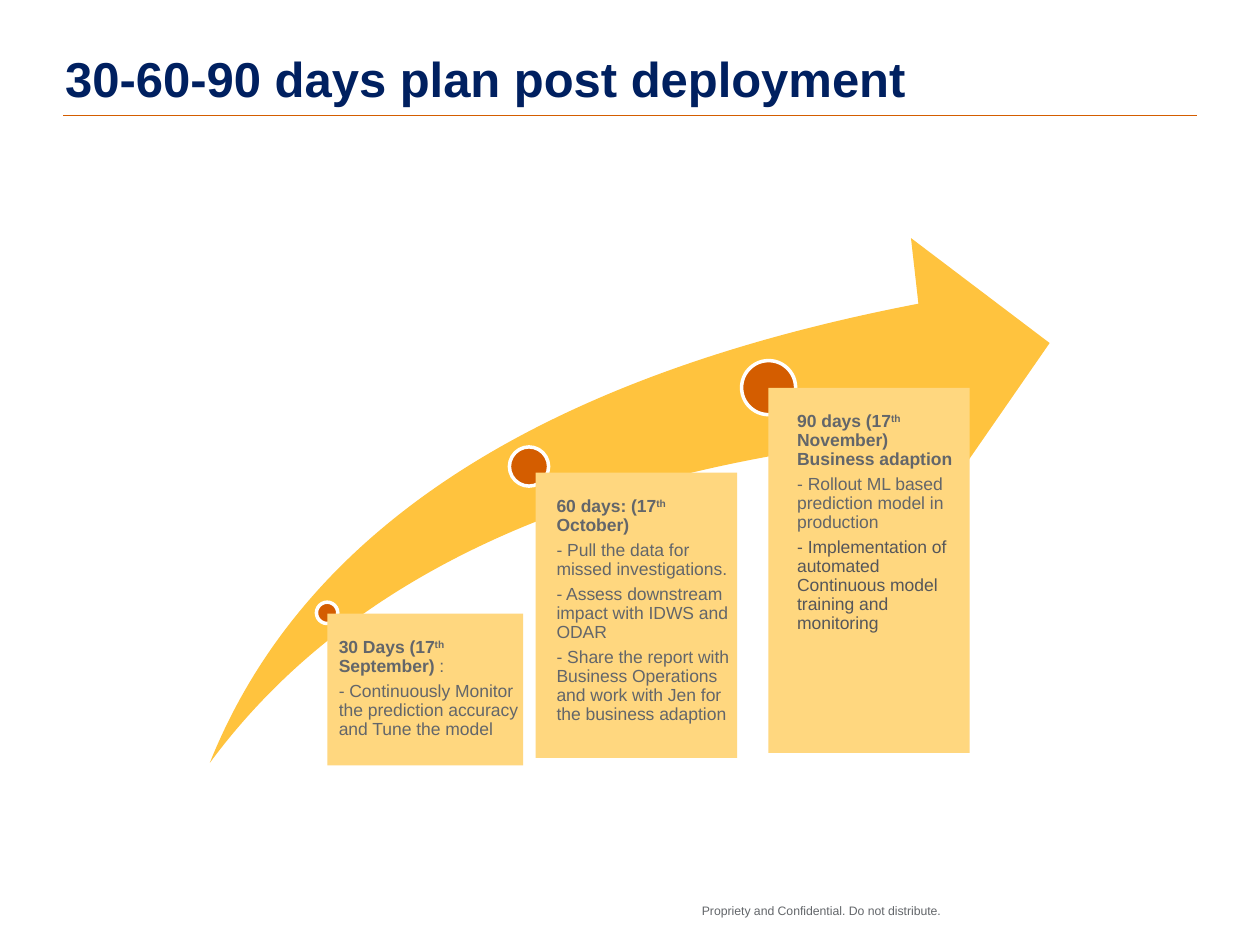
"""Build the 30-60-90 days plan slide."""
from lxml.etree import SubElement
from pptx import Presentation
from pptx.dml.color import RGBColor
from pptx.enum.shapes import MSO_CONNECTOR, MSO_SHAPE
from pptx.enum.text import MSO_ANCHOR, PP_ALIGN
from pptx.oxml.ns import qn
from pptx.util import Cm, Pt

NAVY, ORANGE, AMBER, SAND = "002060", "D45D00", "FFC33E", "FFD77F"
GREY, DARK_GREY, WHITE = "63666A", "55565A", "FFFFFF"

# Dot: left, top, size. Card: left, top, width, height, left inset.
MILESTONES = [
    ((6.38, 12.14, 0.43), (6.6, 12.37, 3.95, 3.06, 0.23),
     ("30 Days (17", " September)", " :"),
     [("- Continuously Monitor the prediction accuracy and Tune the model", GREY)]),
    ((10.27, 9.01, 0.79), (10.8, 9.53, 4.06, 5.75, 0.42),
     ("60 days: (17", " October)", ""),
     [("- Pull the data for missed investigations.", GREY),
      ("- Assess downstream impact with IDWS and ODAR", GREY),
      ("- Share the report with Business Operations and work with Jen "
       "for the business adaption", GREY)]),
    ((14.95, 7.27, 1.09), (15.49, 7.82, 4.06, 7.36, 0.58),
     ("90 days (17", " November) Business adaption", ""),
     [("- Rollout ML based prediction model in production", GREY),
      ("- Implementation of automated Continuous model training and monitoring",
       DARK_GREY)]),
]


def rgb(value):
    """Turn a hex string into a colour."""
    return RGBColor.from_string(value)


def style_run(r, size, color, bold=False):
    """Format one run of text."""
    r.font.name = "Arial"
    r.font.size = Pt(size)
    r.font.bold = bold
    r.font.color.rgb = rgb(color)


def set_insets(tf, left=0, top=0):
    """Set the left and top insets of a frame and clear the others."""
    tf.margin_left, tf.margin_top = Cm(left), Cm(top)
    tf.margin_right = tf.margin_bottom = 0


def add_filled(s, kind, box, fill, outline=None):
    """Add a preset shape with a flat fill."""
    sp = s.shapes.add_shape(kind, *map(Cm, box))
    sp.shadow.inherit = False
    sp.fill.solid()
    sp.fill.fore_color.rgb = rgb(fill)
    if outline:
        sp.line.color.rgb = rgb(outline)
        sp.line.width = Pt(2)
    else:
        sp.line.fill.background()
    return sp


def add_title(s, text):
    """Place and format the title and the rule below it."""
    sp = s.shapes.title
    sp.left, sp.top, sp.width, sp.height = Cm(1.06), Cm(0.84), Cm(17.68), Cm(1.45)
    tf = sp.text_frame
    tf.text = text
    tf.word_wrap = False
    tf.vertical_anchor = MSO_ANCHOR.MIDDLE
    p = tf.paragraphs[0]
    p.alignment = PP_ALIGN.LEFT
    style_run(p.runs[0], 28, NAVY, bold=True)
    rule = s.shapes.add_connector(
        MSO_CONNECTOR.STRAIGHT, Cm(1.27), Cm(2.33), Cm(24.13), Cm(2.33))
    rule.line.color.rgb = rgb(ORANGE)
    rule.line.width = Pt(1)
    SubElement(rule._element.spPr, qn("a:effectLst"))


def add_footer(s, text):
    """Add the confidentiality note."""
    sp = s.shapes.add_textbox(Cm(14.15), Cm(18.21), Cm(5.28), Cm(0.64))
    tf = sp.text_frame
    tf.text = text
    tf.word_wrap = False
    set_insets(tf)
    style_run(tf.paragraphs[0].runs[0], 7, GREY)


def add_heading(p, day, month, suffix):
    """Write a bold date with a raised ordinal and a plain suffix."""
    for text, bold in ((day, True), ("th", True), (month, True), (suffix, False)):
        if text:
            r = p.add_run()
            r.text = text
            style_run(r, 10, GREY, bold)
    p.runs[1].font._element.set("baseline", "30000")


def add_milestone(s, dot, card, heading, tasks):
    """Add a dot on the arrow and the card that hangs from it."""
    left, top, size = dot
    add_filled(s, MSO_SHAPE.OVAL, (left, top, size, size), ORANGE, WHITE)
    *box, inset = card
    tf = add_filled(s, MSO_SHAPE.RECTANGLE, box, SAND).text_frame
    tf.word_wrap = True
    tf.vertical_anchor = MSO_ANCHOR.TOP
    set_insets(tf, inset, 0.5)
    add_heading(tf.paragraphs[0], *heading)
    for text, color in tasks:
        p = tf.add_paragraph()
        p.text = text
        style_run(p.runs[0], 10, color)
    for p in tf.paragraphs:
        p.alignment = PP_ALIGN.LEFT
        p.line_spacing = 0.9
        p.space_after = Pt(3.5)


def main():
    """Build and save the slide."""
    prs = Presentation()
    prs.slide_width, prs.slide_height = Cm(25.4), Cm(19.05)
    s = prs.slides.add_slide(prs.slide_layouts[5])
    add_title(s, "30-60-90 days plan post deployment")
    add_footer(s, "Propriety and Confidential. Do not distribute.")
    arrow = add_filled(s, MSO_SHAPE.SWOOSH_ARROW, (4.23, 4.8, 16.93, 10.58), AMBER)
    arrow.adjustments[0] = arrow.adjustments[1] = 0.25
    for milestone in MILESTONES:
        add_milestone(s, *milestone)
    prs.save("out.pptx")


if __name__ == "__main__":
    main()
